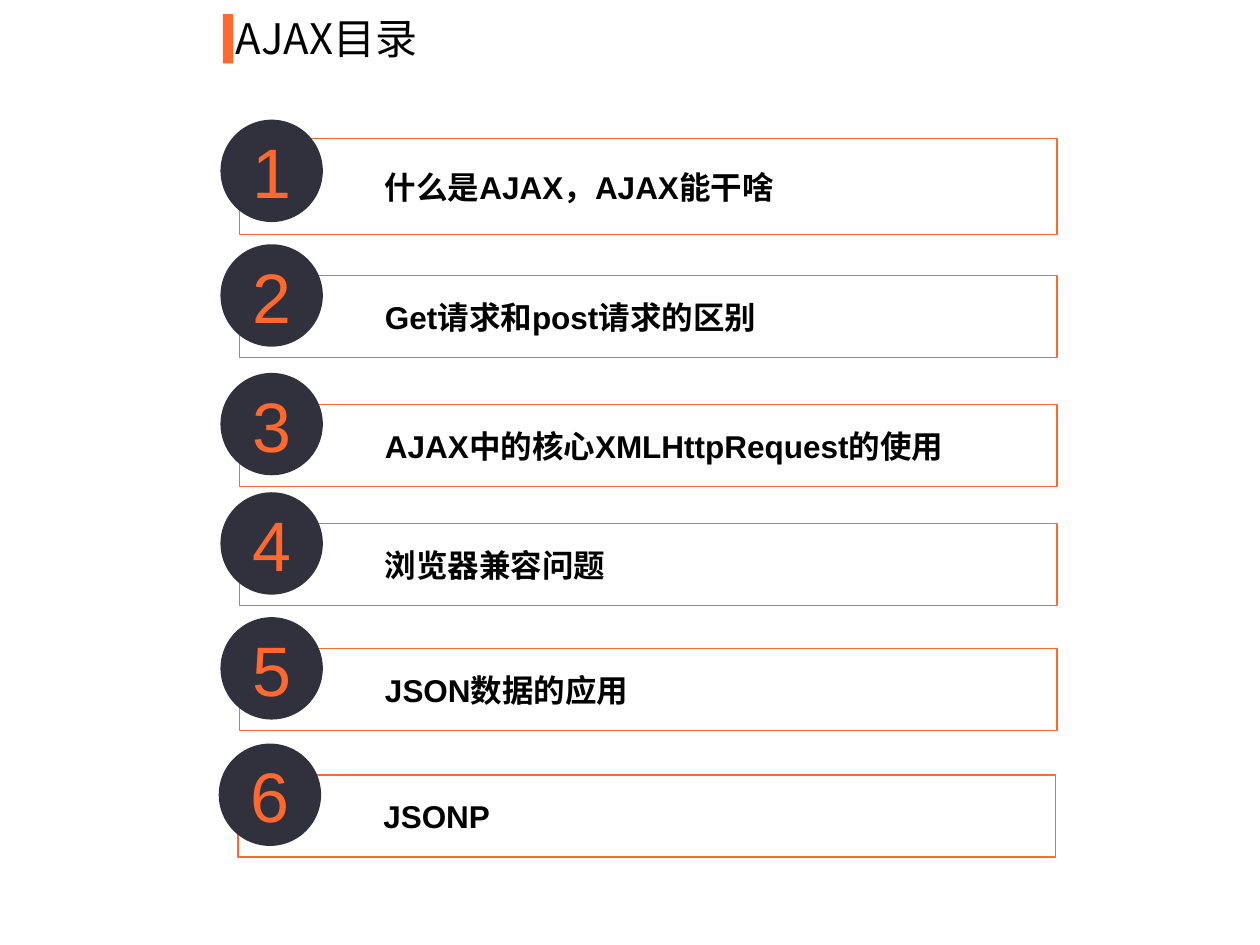
from lxml import etree
from pptx import Presentation
from pptx.dml.color import RGBColor
from pptx.enum import shapes, text
from pptx.oxml import ns
from pptx.util import Pt

ORANGE, DARK, WHITE, BLACK = "FF682F", "30313C", "FFFFFF", "000000"
ASIAN_FONT = "Noto Sans CJK SC"
DIAMETER = 58.5
TOPICS = [
    (126, 68.4, 10.8, 54.7, "什么是AJAX，AJAX能干啥"),
    (126, 139.6, 18, 46.8, "Get请求和post请求的区别"),
    (126, 213.1, 18, 46.8, "AJAX中的核心XMLHttpRequest的使用"),
    (126, 281.3, 18, 46.8, "浏览器兼容问题"),
    (126, 352.7, 18, 46.8, "JSON数据的应用"),
    (125, 424.9, 18, 46.8, "JSONP"),
]


def color(value):
    """Turn a hex string into a colour."""
    return RGBColor.from_string(value)


def write(shape, words, size, ink, font, align, anchor, insets, bold=False):
    """Put one formatted paragraph into a shape."""
    frame = shape.text_frame
    frame.word_wrap = True
    frame.auto_size = text.MSO_AUTO_SIZE.NONE
    frame.vertical_anchor = anchor
    frame.margin_left, frame.margin_top, frame.margin_right, frame.margin_bottom = map(Pt, insets)
    paragraph = frame.paragraphs[0]
    paragraph.text = words
    paragraph.alignment = align
    paragraph.font.size = Pt(size)
    paragraph.font.bold = bold
    paragraph.font.name = font
    paragraph.font.color.rgb = color(ink)
    properties = paragraph._p.pPr.find(ns.qn("a:defRPr"))
    etree.SubElement(properties, ns.qn("a:ea"), typeface=ASIAN_FONT)
    return paragraph


def add_block(slide, kind, left, top, width, height, fill, line=None):
    """Add a flat preset shape with an optional outline."""
    shape = slide.shapes.add_shape(kind, Pt(left), Pt(top), Pt(width), Pt(height))
    shape.shadow.inherit = False
    shape.fill.solid()
    shape.fill.fore_color.rgb = color(fill)
    if line:
        shape.line.color.rgb = color(line)
        shape.line.width = Pt(0.74)
    else:
        shape.line.fill.background()
    return shape


def add_heading(slide, left, top, width, height, words):
    """Place the title with its accent mark at the left edge."""
    add_block(slide, shapes.MSO_SHAPE.RECTANGLE, left, top + 4.3, 5.8, 28.2, ORANGE)
    title = slide.shapes.title
    title.left, title.top, title.width, title.height = map(Pt, (left, top, width, height))
    write(title, words, 24, BLACK, ASIAN_FONT, text.PP_ALIGN.LEFT,
          text.MSO_ANCHOR.TOP, (7.2, 3.6, 7.2, 3.6))


def add_topic(slide, left, top, drop, height, number, words):
    """Place one outlined topic bar with its number disc."""
    bar = add_block(slide, shapes.MSO_SHAPE.RECTANGLE, left + 11, top + drop, 467, height,
                    WHITE, ORANGE)
    shade = bar.fill._xPr.find(ns.qn("a:solidFill"))[0]
    etree.SubElement(shade, ns.qn("a:alpha"), val="40000")
    paragraph = write(bar, words, 18, BLACK, "Arial", text.PP_ALIGN.LEFT,
                      text.MSO_ANCHOR.MIDDLE, (47, 6, 6, 6), bold=True)
    paragraph.level = 1
    paragraph._p.pPr.set("marL", str(Pt(36)))
    paragraph._p.pPr.set("indent", "0")
    disc = add_block(slide, shapes.MSO_SHAPE.OVAL, left, top, DIAMETER, DIAMETER, DARK)
    write(disc, str(number), 40, ORANGE, "Arial", text.PP_ALIGN.CENTER,
          text.MSO_ANCHOR.MIDDLE, (7.2, 3.6, 7.2, 3.6))


def main():
    """Build the contents slide and save it."""
    presentation = Presentation()
    presentation.slide_width, presentation.slide_height = Pt(720), Pt(540)
    slide = presentation.slides.add_slide(presentation.slide_layouts[5])
    add_heading(slide, 127.4, 3.8, 289.4, 36, "AJAX目录")
    for number, (left, top, drop, height, words) in enumerate(TOPICS, 1):
        add_topic(slide, left, top, drop, height, number, words)
    presentation.save("out.pptx")


main()
